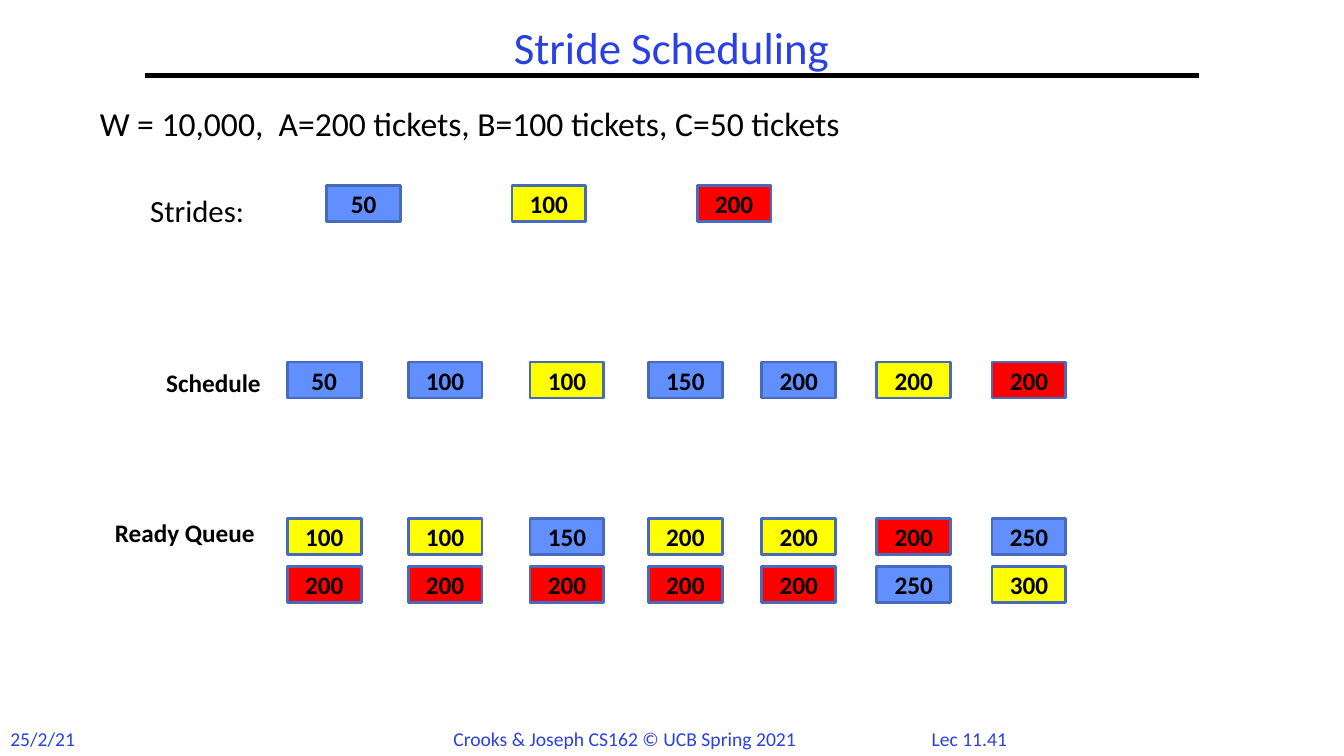
from dataclasses import dataclass

from lxml import etree
from pptx import Presentation
from pptx.dml.color import RGBColor
from pptx.enum.shapes import MSO_CONNECTOR, MSO_SHAPE
from pptx.enum.text import MSO_ANCHOR, PP_ALIGN
from pptx.oxml.ns import qn
from pptx.util import Inches, Pt

RECT, STRAIGHT = MSO_SHAPE.RECTANGLE, MSO_CONNECTOR.STRAIGHT
LEFT, CENTER, MIDDLE = PP_ALIGN.LEFT, PP_ALIGN.CENTER, MSO_ANCHOR.MIDDLE


@dataclass(frozen=True)
class Theme:
    font: str = "Calibri"
    accent: str = "2A40E2"
    ink: str = "000000"
    border: str = "486ABB"
    job_a: str = "618FFD"
    job_b: str = "FFFF00"
    job_c: str = "FF0000"
    title: int = 32
    intro: int = 24
    strides: int = 22
    label: int = 18
    footer: int = 14


T = Theme()
JOB_FILL = {"A": T.job_a, "B": T.job_b, "C": T.job_c}

# The slide is a grid of 160 columns by 90 rows
WIDTH, HEIGHT = Inches(13.33), Inches(7.5)
STEP_COLS = (34.2, 48.6, 63.1, 77.2, 90.7, 104.4, 118.1)
STRIDE_COLS = [38.9 + 22.05 * i for i in range(3)]
JOB_SIZE = (8.8, 4.3)

# Rows of jobs: grid row, columns, then job and pass value
JOB_ROWS = (
    (22.1, STRIDE_COLS, "A50 B100 C200"),
    (43.1, STEP_COLS, "A50 A100 B100 A150 A200 B200 C200"),
    (61.75, STEP_COLS, "B100 B100 A150 B200 B200 C200 A250"),
    (67.4, STEP_COLS, "C200 C200 C200 C200 C200 A250 B300"),
)


def col(n):
    return round(WIDTH * n / 160)


def row(n):
    return round(HEIGHT * n / 90)


def box(x, y, w, h):
    return col(x), row(y), col(w), row(h)


def write(s, text, size=T.label, color=T.ink, bold=False, align=LEFT,
          wrap=True):
    """Fill a shape with one formatted line of text."""
    tf = s.text_frame
    tf.word_wrap = wrap
    tf.vertical_anchor = MIDDLE
    p = tf.paragraphs[0]
    p.alignment = align
    r = p.add_run()
    r.text = text
    r.font.name = T.font
    r.font.size = Pt(size)
    r.font.bold = bold
    r.font.color.rgb = RGBColor.from_string(color)


def add_text(sp, area, text, **fmt):
    write(sp.add_textbox(*box(*area)), text, **fmt)


def add_job(sp, x, y, job, value):
    s = sp.add_shape(RECT, *box(x, y, *JOB_SIZE))
    s.shadow.inherit = False
    s.fill.solid()
    s.fill.fore_color.rgb = RGBColor.from_string(JOB_FILL[job])
    s.line.color.rgb = RGBColor.from_string(T.border)
    s.line.width = Pt(2)
    write(s, value, bold=True, align=CENTER)


def add_rule(sp, x1, x2, y):
    s = sp.add_connector(STRAIGHT, col(x1), row(y), col(x2), row(y))
    s.line.color.rgb = RGBColor.from_string(T.ink)
    s.line.width = Pt(3)
    etree.SubElement(s.element.spPr, qn("a:effectLst"))


def main():
    prs = Presentation()
    prs.slide_width, prs.slide_height = WIDTH, HEIGHT
    sp = prs.slides.add_slide(prs.slide_layouts[6]).shapes

    # Title and rule
    add_text(sp, (17.3, 2, 125.3, 7), "Stride Scheduling",
             size=T.title, color=T.accent, align=CENTER)
    add_rule(sp, 17.3, 142.7, 9)

    # Introduction and row labels
    add_text(sp, (10.7, 11.6, 139, 6),
             "W = 10,000,  A=200 tickets, B=100 tickets, C=50 tickets",
             size=T.intro)
    add_text(sp, (16.7, 22.4, 18, 5.2), "Strides:", size=T.strides)
    add_text(sp, (18.6, 43.1, 19.2, 4.8), "Schedule", bold=True)
    add_text(sp, (12.5, 61, 19.2, 4.8), "Ready Queue", bold=True)

    # Strides, schedule and ready queue
    for y, cols, jobs in JOB_ROWS:
        for x, entry in zip(cols, jobs.split()):
            add_job(sp, x, y, entry[0], entry[1:])

    # Footer
    for x, w, text in (
        (0, 10.2, "25/2/21"),
        (52.6, 43.6, "Crooks & Joseph CS162 © UCB Spring 2021"),
        (109, 12.8, "Lec 11.41"),
    ):
        add_text(sp, (x, 85.9, w, 4.1), text, size=T.footer,
                 color=T.accent, align=CENTER, wrap=False)

    prs.save("out.pptx")


if __name__ == "__main__":
    main()
